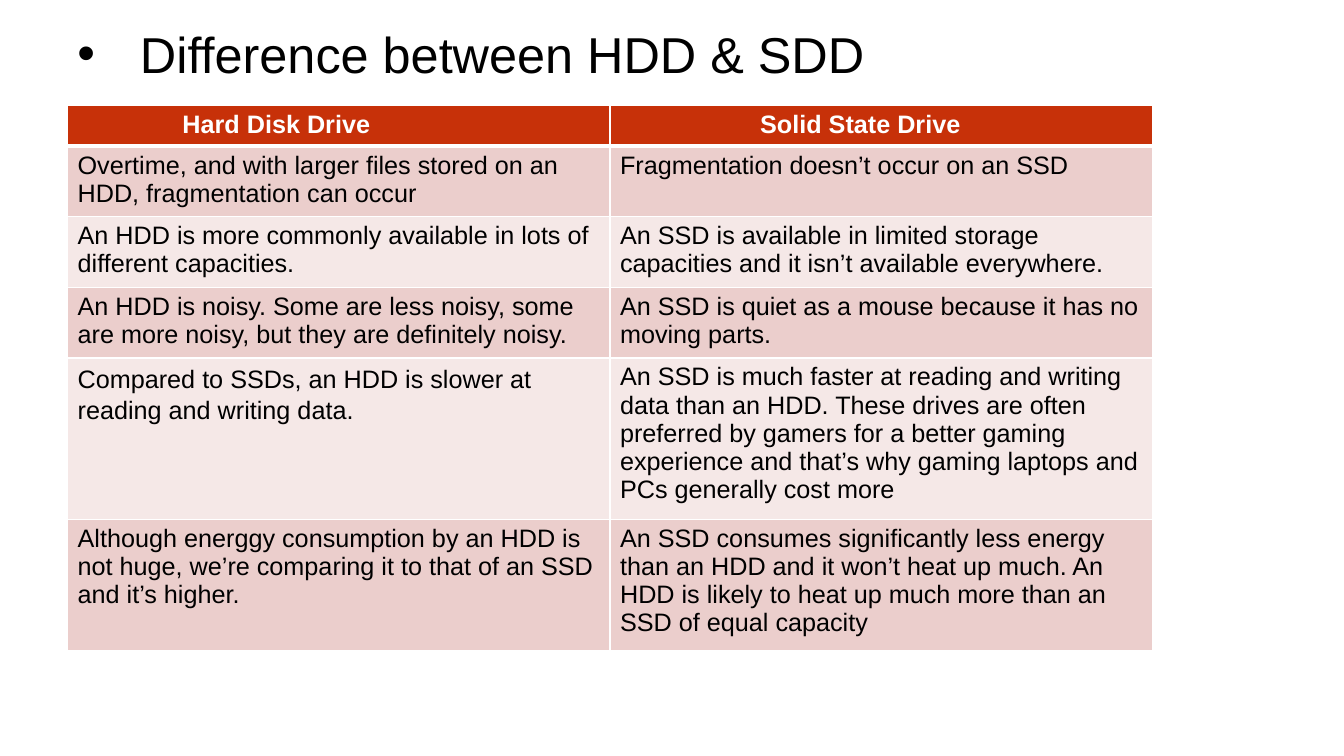
from dataclasses import dataclass

import pptx
import pptx.dml.color
import pptx.enum.text
import pptx.oxml
import pptx.oxml.ns
import pptx.util

EMU_PER_PX = 9144  # 100 px to the inch


@dataclass(frozen=True)
class Theme:
    font: str = "Arial"
    title_size: int = 36
    table_size: int = 18
    text: str = "000000"
    header_text: str = "FFFFFF"
    header_fill: str = "C73109"
    bands: tuple[str, str] = ("EBCECC", "F5E8E7")
    border: str = "FFFFFF"
    thin: int = 1
    thick: int = 3


@dataclass(frozen=True)
class Row:
    height: int
    hdd: str
    ssd: str
    hdd_spacing: float = 1.0


THEME = Theme()
CELL_MARGIN = 10
HEADER_MARGINS = (114, 149)
COLUMN_WIDTH = 538
TABLE_LEFT, TABLE_TOP = 67, 105

ROWS = (
    Row(40, "Hard Disk Drive", "Solid State Drive"),
    Row(70, "Overtime, and with larger files stored on an HDD, fragmentation can occur",
        "Fragmentation doesn’t occur on an SSD"),
    Row(70, "An HDD is more commonly available in lots of different capacities.",
        "An SSD is available in limited storage capacities and it isn’t available everywhere."),
    Row(70, "An HDD is noisy. Some are less noisy, some are more noisy, "
        "but they are definitely noisy.",
        "An SSD is quiet as a mouse because it has no moving parts."),
    Row(160, "Compared to SSDs, an HDD is slower at reading and writing data.",
        "An SSD is much faster at reading and writing data than an HDD. These drives are "
        "often preferred by gamers for a better gaming experience and that’s why gaming "
        "laptops and PCs generally cost more", hdd_spacing=1.1),
    Row(130, "Although energgy consumption by an HDD is not huge, we’re comparing it to that "
        "of an SSD and it’s higher.",
        "An SSD consumes significantly less energy than an HDD and it won’t heat up much. "
        "An HDD is likely to heat up much more than an SSD of equal capacity"),
)


def px(length: int) -> pptx.util.Emu:
    return pptx.util.Emu(length * EMU_PER_PX)


def rgb(colour: str) -> pptx.dml.color.RGBColor:
    return pptx.dml.color.RGBColor.from_string(colour)


def style_font(paragraph, size: int, colour: str, bold: bool = False) -> None:
    font = paragraph.font
    font.name = THEME.font
    font.size = pptx.util.Pt(size)
    font.bold = bold
    font.color.rgb = rgb(colour)


def add_title(slide, text: str) -> None:
    shape = slide.shapes.add_textbox(px(67), px(21), px(1200), px(64))
    frame = shape.text_frame
    frame.word_wrap = True
    frame.vertical_anchor = pptx.enum.text.MSO_ANCHOR.MIDDLE
    paragraph = frame.paragraphs[0]
    paragraph.text = text
    style_font(paragraph, THEME.title_size, THEME.text)
    # Bullet with a hanging indent
    properties = paragraph._p.get_or_add_pPr()
    properties.set("marL", str(px(62)))
    properties.set("indent", str(px(-62)))
    namespace = pptx.oxml.ns.nsdecls("a")
    bullet_font = f'<a:buFont {namespace} typeface="{THEME.font}"/>'
    bullet = f'<a:buChar {namespace} char="•"/>'
    for position, xml in enumerate((bullet_font, bullet)):
        properties.insert(position, pptx.oxml.parse_xml(xml))


def set_borders(cell, top: int, bottom: int) -> None:
    properties = cell._tc.get_or_add_tcPr()
    widths = {"lnL": THEME.thin, "lnR": THEME.thin, "lnT": top, "lnB": bottom}
    for position, (side, width) in enumerate(widths.items()):
        properties.insert(position, pptx.oxml.parse_xml(
            f'<a:{side} {pptx.oxml.ns.nsdecls("a")} w="{pptx.util.Pt(width)}">'
            f'<a:solidFill><a:srgbClr val="{THEME.border}"/></a:solidFill></a:{side}>'))


def fill_cell(cell, text: str, row_index: int, margin: int, spacing: float) -> None:
    header = row_index == 0
    cell.margin_left = px(margin)
    cell.fill.solid()
    cell.fill.fore_color.rgb = rgb(
        THEME.header_fill if header else THEME.bands[(row_index - 1) % 2])
    set_borders(cell,
                top=THEME.thick if row_index == 1 else THEME.thin,
                bottom=THEME.thick if header else THEME.thin)
    paragraph = cell.text_frame.paragraphs[0]
    paragraph.text = text
    paragraph.line_spacing = spacing
    style_font(paragraph, THEME.table_size,
               THEME.header_text if header else THEME.text, bold=header)


def add_comparison(slide, rows: tuple[Row, ...]) -> None:
    height = sum(row.height for row in rows)
    table = slide.shapes.add_table(len(rows), 2, px(TABLE_LEFT), px(TABLE_TOP),
                                   px(2 * COLUMN_WIDTH), px(height)).table
    table.horz_banding = False
    for column in table.columns:
        column.width = px(COLUMN_WIDTH)
    for row_index, row in enumerate(rows):
        table.rows[row_index].height = px(row.height)
        margins = HEADER_MARGINS if row_index == 0 else (CELL_MARGIN, CELL_MARGIN)
        contents = ((row.hdd, row.hdd_spacing), (row.ssd, 1.0))
        for column_index, (text, spacing) in enumerate(contents):
            fill_cell(table.cell(row_index, column_index), text, row_index,
                      margins[column_index], spacing)


def main() -> None:
    presentation = pptx.Presentation()
    presentation.slide_width = px(1333)
    presentation.slide_height = px(750)
    slide = presentation.slides.add_slide(presentation.slide_layouts[6])
    # Heading
    add_title(slide, "Difference between HDD & SDD")
    # Comparison table
    add_comparison(slide, ROWS)
    presentation.save("out.pptx")


if __name__ == "__main__":
    main()
